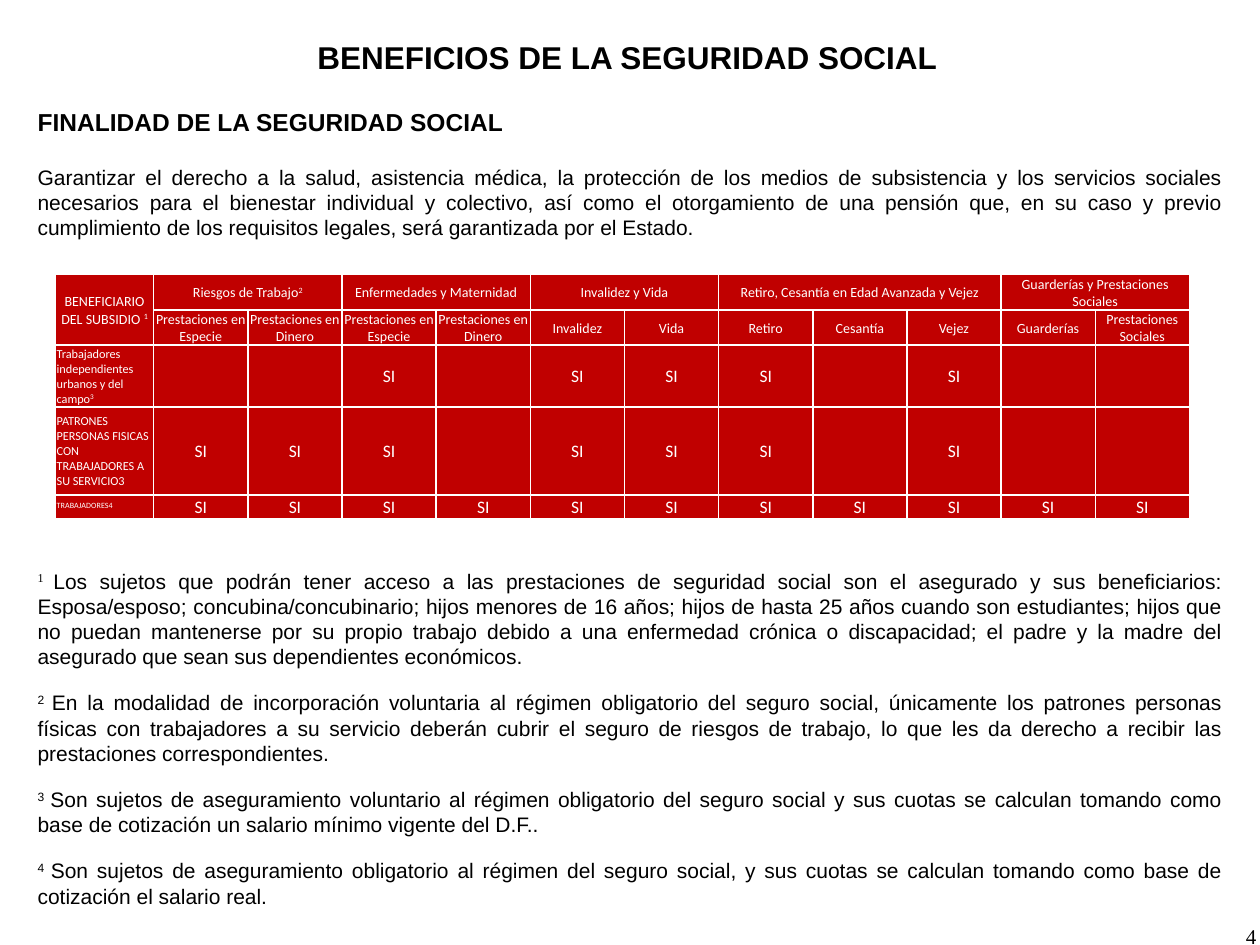
from lxml import etree
from pptx import Presentation
from pptx.dml.color import RGBColor
from pptx.enum.text import MSO_ANCHOR, PP_ALIGN
from pptx.oxml.ns import qn
from pptx.util import Inches, Pt

# The slide is a grid of 100 columns by 75 rows of square units
UNIT = Inches(0.1)
COLUMNS, ROWS = 100, 75
LEFT, CENTER, RIGHT, JUSTIFY = PP_ALIGN.LEFT, PP_ALIGN.CENTER, PP_ALIGN.RIGHT, PP_ALIGN.JUSTIFY
TOP, MIDDLE = MSO_ANCHOR.TOP, MSO_ANCHOR.MIDDLE
COLORS = {"text": "000000", "cell": "C00000", "cell_text": "FFFFFF", "border": "FFFFFF"}
BODY, SERIF, TABLE_FONT = "Arial", "Times New Roman", "Calibri"

# Superscript passages stand between carets
PURPOSE = (
    "Garantizar el derecho a la salud, asistencia médica, la protección de los medios de "
    "subsistencia y los servicios sociales necesarios para el bienestar individual y colectivo, "
    "así como el otorgamiento de una pensión que, en su caso y previo cumplimiento de los "
    "requisitos legales, será garantizada por el Estado."
)
NOTES = [
    "^1 ^Los sujetos que podrán tener acceso a las prestaciones de seguridad social son el "
    "asegurado y sus beneficiarios: Esposa/esposo; concubina/concubinario; hijos menores de 16 "
    "años; hijos de hasta 25 años cuando son estudiantes; hijos que no puedan mantenerse por su "
    "propio trabajo debido a una enfermedad crónica o discapacidad; el padre y la madre del "
    "asegurado que sean sus dependientes económicos.",
    "^2 ^En la modalidad de incorporación voluntaria al régimen obligatorio del seguro social, "
    "únicamente los patrones personas físicas con trabajadores a su servicio deberán cubrir el "
    "seguro de riesgos de trabajo, lo que les da derecho a recibir las prestaciones "
    "correspondientes.",
    "^3 ^Son sujetos de aseguramiento voluntario al régimen obligatorio del seguro social y sus "
    "cuotas se calculan tomando como base de cotización un salario mínimo vigente del D.F..",
    "^4 ^Son sujetos de aseguramiento obligatorio al régimen del seguro social, y sus cuotas se "
    "calculan tomando como base de cotización el salario real.",
]

CORNER = "BENEFICIARIO DEL SUBSIDIO ^1^"
IN_KIND, IN_CASH = "Prestaciones en Especie", "Prestaciones en Dinero"
GROUPS = [
    ("Riesgos de Trabajo^2^", [IN_KIND, IN_CASH]),
    ("Enfermedades y Maternidad", [IN_KIND, IN_CASH]),
    ("Invalidez y Vida", ["Invalidez", "Vida"]),
    ("Retiro, Cesantía en Edad Avanzada y Vejez", ["Retiro", "Cesantía", "Vejez"]),
    ("Guarderías y Prestaciones Sociales", ["Guarderías", "Prestaciones Sociales"]),
]
# Beneficiary, text size, columns with the benefit
BENEFICIARIES = [
    ("Trabajadores independientes urbanos y del campo^3^", 7, {3, 5, 6, 7, 9}),
    ("PATRONES PERSONAS FISICAS CON TRABAJADORES A SU SERVICIO3", 7, {1, 2, 3, 5, 6, 7, 9}),
    ("^TRABAJADORES4^", 8, set(range(1, 12))),
]
ROW_HEIGHTS = [2.8, 2.8, 4.9, 7, 1.9]
NAME_WIDTH = 7.8


def units(*values):
    return [round(value * UNIT) for value in values]


def write(paragraph, text, size, font=BODY, color="text", bold=False, super_font=None, **layout):
    for name, value in layout.items():
        setattr(paragraph, name, value)
    for index, part in enumerate(text.split("^")):
        if not part:
            continue
        raised = index % 2 == 1
        run = paragraph.add_run()
        run.text = part
        values = {"size": Pt(size), "bold": bold,
                  "name": super_font if raised and super_font else font}
        for name, value in values.items():
            setattr(run.font, name, value)
        run.font.color.rgb = RGBColor.from_string(COLORS[color])
        if raised:
            run.font._element.set("baseline", "30000")


def add_text_frame(slide, box, anchor=TOP):
    frame = slide.shapes.add_textbox(*units(*box)).text_frame
    frame.word_wrap = True
    frame.vertical_anchor = anchor
    return frame


def add_line(slide, box, text, size, alignment, **format_values):
    frame = add_text_frame(slide, box, MIDDLE)
    write(frame.paragraphs[0], text, size, alignment=alignment, **format_values)


def add_purpose(slide, box):
    frame = add_text_frame(slide, box)
    write(frame.paragraphs[0], "FINALIDAD DE LA SEGURIDAD SOCIAL", 14, bold=True,
          alignment=JUSTIFY, space_after=Pt(16))
    write(frame.add_paragraph(), PURPOSE, 12, alignment=JUSTIFY)


def add_notes(slide, box):
    frame = add_text_frame(slide, box)
    for index, note in enumerate(NOTES):
        paragraph = frame.add_paragraph() if index else frame.paragraphs[0]
        write(paragraph, note, 12, super_font=BODY if index else SERIF,
              alignment=JUSTIFY, space_before=Pt(12))


def style_cell(cell):
    properties = cell._tc.get_or_add_tcPr()
    for side in ("a:lnL", "a:lnR", "a:lnT", "a:lnB"):
        line = etree.SubElement(properties, qn(side), w=str(Pt(1)))
        fill = etree.SubElement(line, qn("a:solidFill"))
        etree.SubElement(fill, qn("a:srgbClr"), val=COLORS["border"])
    cell.fill.solid()
    cell.fill.fore_color.rgb = RGBColor.from_string(COLORS["cell"])
    margins = dict.fromkeys(("margin_left", "margin_right", "margin_top"), Inches(0.01))
    for name, value in {**margins, "margin_bottom": 0, "vertical_anchor": MIDDLE}.items():
        setattr(cell, name, value)


def add_benefits_table(slide, box):
    benefit_count = sum(len(benefits) for _, benefits in GROUPS)
    table = slide.shapes.add_table(len(ROW_HEIGHTS), benefit_count + 1, *units(*box)).table
    benefit_width = (box[2] - NAME_WIDTH) / benefit_count
    for index, column in enumerate(table.columns):
        column.width = units(benefit_width if index else NAME_WIDTH)[0]
    for row, height in zip(table.rows, ROW_HEIGHTS):
        row.height = units(height)[0]
    for cell in table.iter_cells():
        style_cell(cell)

    def fill_cell(row, column, text, size=8, alignment=CENTER):
        write(table.cell(row, column).text_frame.paragraphs[0], text, size,
              font=TABLE_FONT, color="cell_text", alignment=alignment)

    # Two header rows: benefit groups over single benefits
    table.cell(0, 0).merge(table.cell(1, 0))
    fill_cell(0, 0, CORNER)
    column = 1
    for group, benefits in GROUPS:
        table.cell(0, column).merge(table.cell(0, column + len(benefits) - 1))
        fill_cell(0, column, group)
        for offset, benefit in enumerate(benefits):
            fill_cell(1, column + offset, benefit)
        column += len(benefits)

    # One row per kind of beneficiary
    for row, (name, size, granted) in enumerate(BENEFICIARIES, start=2):
        fill_cell(row, 0, name, size, LEFT)
        for column in sorted(granted):
            fill_cell(row, column, "SI", 10)


def main():
    presentation = Presentation()
    presentation.slide_width, presentation.slide_height = units(COLUMNS, ROWS)
    slide = presentation.slides.add_slide(presentation.slide_layouts[6])
    add_line(slide, (77.4, 72.3, 23.3, 4), "4", 12, RIGHT, font=SERIF)
    add_line(slide, (4.8, 2.3, 90, 4.5), "BENEFICIOS DE LA SEGURIDAD SOCIAL", 18, CENTER,
             bold=True)
    add_purpose(slide, (2, 8, 96.1, 16.2))
    add_notes(slide, (2, 44.6, 96.1, 28.3))
    add_benefits_table(slide, (4.4, 21.8, 90, sum(ROW_HEIGHTS)))
    presentation.save("out.pptx")


if __name__ == "__main__":
    main()
